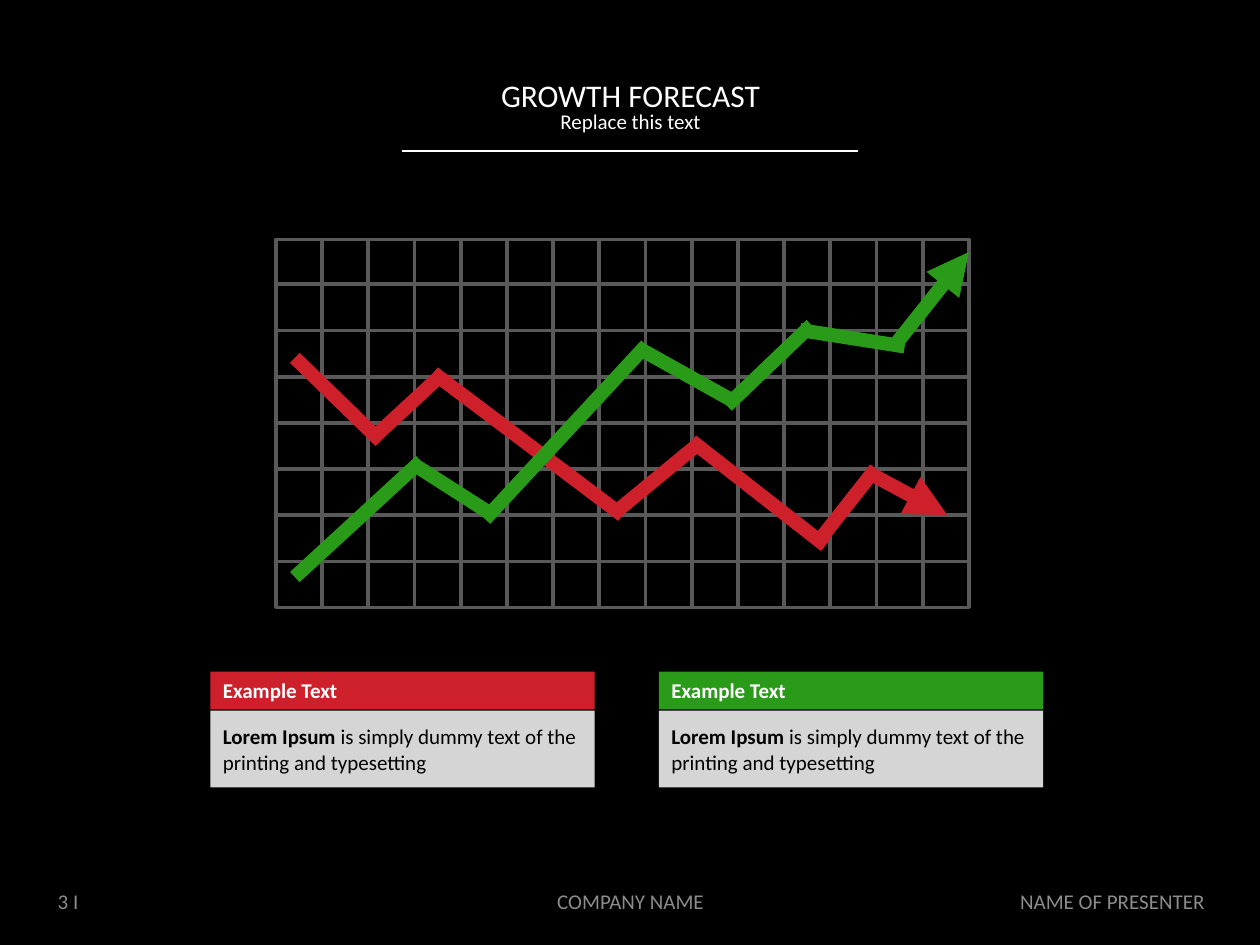
from dataclasses import dataclass

from lxml import etree
from pptx import Presentation, util as u
from pptx.dml.color import RGBColor
from pptx.enum import shapes as sh, text as tx
from pptx.oxml.ns import qn

PX = 9144  # EMU per px, 100 px to the inch
FONT = "Calibri"
HUES = {
    "back": "000000",
    "white": "FFFFFF",
    "ink": "000000",
    "grid": "595959",
    "panel": "D5D5D5",
    "foot": "8C8C8C",
    "fall": "CE202A",
    "rise": "2A9B18",
}
ALIGN = tx.PP_ALIGN


@dataclass
class Box:
    x: int
    y: int
    w: int
    h: int

    def emu(self) -> list[int]:
        return [n * PX for n in (self.x, self.y, self.w, self.h)]


@dataclass
class Run:
    text: str
    hue: str
    size: int = 12
    bold: bool = False


@dataclass
class Trend:
    hue: str
    legs: list[tuple[int, int, int, int]]


@dataclass
class Card:
    x: int
    hue: str


@dataclass
class Foot:
    box: Box
    text: str
    align: ALIGN


FRAME = Box(219, 190, 550, 292)
COLS, ROWS = 15, 8
CELL = FRAME.w / COLS

# Legs overlap a little at each turn so that the thick strokes join.
TRENDS = [
    Trend("fall", [
        (234, 284, 302, 350), (297, 347, 352, 296), (344, 296, 494, 409),
        (488, 407, 556, 351), (549, 350, 655, 433), (647, 433, 695, 372),
        (689, 375, 752, 409),
    ]),
    Trend("rise", [
        (234, 458, 334, 366), (329, 369, 393, 410), (385, 412, 513, 274),
        (508, 277, 585, 320), (577, 322, 644, 258), (635, 262, 718, 275),
        (711, 273, 769, 200),
    ]),
]
CARDS = [Card(167, "fall"), Card(523, "rise")]
FEET = [
    Foot(Box(733, 695, 233, 40), "NAME OF PRESENTER", ALIGN.RIGHT),
    Foot(Box(342, 695, 317, 40), "COMPANY NAME", ALIGN.CENTER),
    Foot(Box(36, 695, 233, 40), "3 I", ALIGN.LEFT),
]


def tint(hue: str) -> RGBColor:
    return RGBColor.from_string(HUES[hue])


def write(para, runs: list[Run], align: ALIGN = ALIGN.LEFT) -> None:
    para.alignment = align
    for item in runs:
        run = para.add_run()
        run.text = item.text
        font = run.font
        font.name, font.size, font.bold = FONT, u.Pt(item.size), item.bold
        font.color.rgb = tint(item.hue)


def line(slide, ends: tuple[float, ...], hue: str, width: float,
         arrow: bool = False) -> None:
    link = slide.shapes.add_connector(
        sh.MSO_CONNECTOR.STRAIGHT, *[round(n * PX) for n in ends])
    link.line.color.rgb = tint(hue)
    link.line.width = u.Pt(width)
    if arrow:
        etree.SubElement(link.line._get_or_add_ln(), qn("a:tailEnd"),
                         type="triangle")
    etree.SubElement(link._element.spPr, qn("a:effectLst"))


def block(slide, box: Box, hue: str):
    """Draw a filled rectangle with no outline, ready for left-hand text."""
    shape = slide.shapes.add_shape(sh.MSO_SHAPE.RECTANGLE, *box.emu())
    shape.shadow.inherit = False
    shape.fill.solid()
    shape.fill.fore_color.rgb = tint(hue)
    shape.line.fill.background()
    frame = shape.text_frame
    frame.word_wrap = True
    frame.vertical_anchor = tx.MSO_ANCHOR.MIDDLE
    return frame


def head(slide) -> None:
    title = slide.shapes.title
    title.left, title.top, title.width, title.height = Box(340, 61, 321, 50).emu()
    frame = title.text_frame
    frame.word_wrap = True
    frame.auto_size = tx.MSO_AUTO_SIZE.NONE
    frame.vertical_anchor = tx.MSO_ANCHOR.TOP
    rows = [Run("GROWTH FORECAST", "white", 18), Run("Replace this text", "white")]
    for i, run in enumerate(rows):
        para = frame.add_paragraph() if i else frame.paragraphs[0]
        para.line_spacing = 0.8
        write(para, [run], ALIGN.CENTER)
    line(slide, (319, 120, 681, 120), "white", 1)


def card(slide, item: Card) -> None:
    body = block(slide, Box(item.x, 564, 305, 61), "panel")
    body.margin_left = body.margin_right = 10 * PX
    body.margin_top = body.margin_bottom = 10 * PX
    write(body.paragraphs[0], [
        Run("Lorem Ipsum ", "ink", bold=True),
        Run("is simply dummy text of the printing and typesetting", "ink"),
    ])
    label = block(slide, Box(item.x, 533, 305, 30), item.hue)
    label.paragraphs[0].space_after = u.Pt(6)
    write(label.paragraphs[0], [Run("Example Text", "white", bold=True)])


def grid(slide) -> None:
    edge = slide.shapes.add_shape(sh.MSO_SHAPE.RECTANGLE, *FRAME.emu())
    edge.shadow.inherit = False
    edge.fill.background()
    edge.line.color.rgb = tint("grid")
    edge.line.width = u.Pt(2)
    left, top = FRAME.x, FRAME.y
    right, base = left + FRAME.w, top + FRAME.h
    for i in range(1, COLS):
        x = left + i * CELL
        line(slide, (x, top, x, base), "grid", 2.25)
    for i in range(1, ROWS):
        y = top - 1 + i * CELL
        line(slide, (left, y, right, y), "grid", 2.25)


def trend(slide, item: Trend) -> None:
    for leg in item.legs:
        line(slide, leg, item.hue, 8, arrow=leg is item.legs[-1])


def foot(slide, item: Foot) -> None:
    frame = slide.shapes.add_textbox(*item.box.emu()).text_frame
    frame.word_wrap = True
    frame.vertical_anchor = tx.MSO_ANCHOR.MIDDLE
    write(frame.paragraphs[0], [Run(item.text, "foot")], item.align)


def main() -> None:
    deck = Presentation()
    deck.slide_width, deck.slide_height = 1000 * PX, 750 * PX
    slide = deck.slides.add_slide(deck.slide_layouts[5])
    slide.background.fill.solid()
    slide.background.fill.fore_color.rgb = tint("back")
    head(slide)
    for item in CARDS:
        card(slide, item)
    grid(slide)
    for item in TRENDS:
        trend(slide, item)
    for item in FEET:
        foot(slide, item)
    deck.save("out.pptx")


if __name__ == "__main__":
    main()
